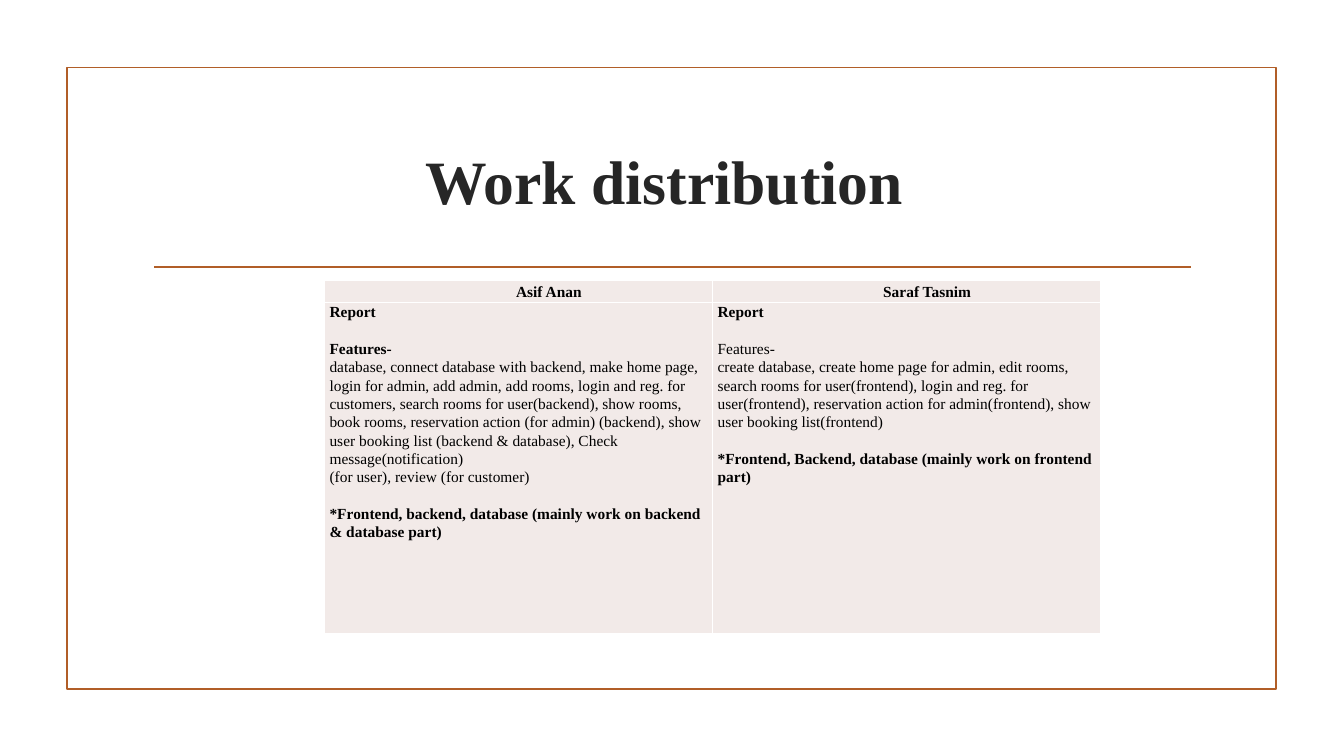
from lxml import etree
from pptx import Presentation
from pptx.dml.color import RGBColor
from pptx.enum import shapes, text
from pptx.oxml.ns import qn
from pptx.util import Pt

FONT = "Times New Roman"
RUST, INK, BLACK, BLUSH, WHITE = "B15E28", "262626", "000000", "F2EAE8", "FFFFFF"
BODY_SIZE, LINE_SPACING, SECTION_GAP = 11, 1.07, 13.2

# Each worker: name, left inset of the name, then (text, bold, starts a section)
WORKERS = [
    ("Asif Anan", 47, [
        ("Report", True, False),
        ("Features-", True, True),
        ("database, connect database with backend, make home page, login for admin, "
         "add admin, add rooms, login and reg. for customers, search rooms for "
         "user(backend), show rooms, book rooms, reservation action (for admin) "
         "(backend), show user booking list (backend & database), Check "
         "message(notification)", False, False),
        ("(for user), review (for customer)", False, False),
        ("*Frontend, backend, database (mainly work on backend & database part)",
         True, True),
    ]),
    ("Saraf Tasnim", 33, [
        ("Report", True, False),
        ("Features-", False, True),
        ("create database, create home page for admin, edit rooms, search rooms for "
         "user(frontend), login and reg. for user(frontend), reservation action for "
         "admin(frontend), show user booking list(frontend)", False, False),
        ("*Frontend, Backend, database (mainly work on frontend part)", True, True),
    ]),
]


def color(value):
    return RGBColor.from_string(value)


def add_span(para, words, size, bold, ink):
    span = para.add_run()
    span.text = words
    span.font.name = FONT
    span.font.size = Pt(size)
    span.font.bold = bold
    span.font.color.rgb = color(ink)


def add_frame(page, left, top, width, height):
    """Draw the border and the rule below the title."""
    border = page.shapes.add_shape(shapes.MSO_SHAPE.RECTANGLE,
                                   Pt(left), Pt(top), Pt(width), Pt(height))
    border.shadow.inherit = False
    border.fill.background()
    rule_y = Pt(top + 142.6)
    rule = page.shapes.add_connector(shapes.MSO_CONNECTOR.STRAIGHT,
                                     Pt(left + 62.5), rule_y,
                                     Pt(left + width - 61.2), rule_y)
    etree.SubElement(rule._element.spPr, qn("a:effectLst"))
    for outline in (border.line, rule.line):
        outline.color.rgb = color(RUST)
        outline.width = Pt(1.25)
    rule._element.spPr.append(rule._element.spPr.find(qn("a:effectLst")))


def add_title(page, left, top, width, height):
    box = page.shapes.add_textbox(Pt(left), Pt(top), Pt(width), Pt(height))
    frame = box.text_frame
    frame.word_wrap = True
    frame.vertical_anchor = text.MSO_ANCHOR.MIDDLE
    frame.margin_right = Pt(18.2)
    para = frame.paragraphs[0]
    para.alignment = text.PP_ALIGN.CENTER
    add_span(para, "Work distribution", 44, True, INK)


def style_cell(cell, left_inset=3.6, top_inset=0):
    """Set fill, insets and thin white borders."""
    cell.margin_left, cell.margin_right = Pt(left_inset), Pt(3.6)
    cell.margin_top, cell.margin_bottom = Pt(top_inset), 0
    properties = cell._tc.get_or_add_tcPr()
    for side in ("a:lnL", "a:lnR", "a:lnT", "a:lnB"):
        edge = etree.SubElement(properties, qn(side), w=str(Pt(1)))
        fill = etree.SubElement(edge, qn("a:solidFill"))
        etree.SubElement(fill, qn("a:srgbClr"), val=WHITE)
    cell.fill.solid()
    cell.fill.fore_color.rgb = color(BLUSH)


def add_work_table(page, left, top, width, height):
    table = page.shapes.add_table(2, len(WORKERS), Pt(left), Pt(top),
                                  Pt(width), Pt(height)).table
    table.first_row = table.horz_banding = False
    header_height = 15.8
    table.rows[0].height = Pt(header_height)
    table.rows[1].height = Pt(height - header_height)
    for column, (name, inset, tasks) in enumerate(WORKERS):
        table.columns[column].width = Pt(width / len(WORKERS))
        header, body = table.cell(0, column), table.cell(1, column)
        style_cell(header, inset, 1.8)
        style_cell(body)
        para = header.text_frame.paragraphs[0]
        para.alignment = text.PP_ALIGN.CENTER
        para.line_spacing = LINE_SPACING
        add_span(para, name, BODY_SIZE, True, BLACK)
        for index, (words, bold, starts_section) in enumerate(tasks):
            frame = body.text_frame
            para = frame.add_paragraph() if index else frame.paragraphs[0]
            para.line_spacing = LINE_SPACING
            if starts_section:
                para.space_before = Pt(SECTION_GAP)
            add_span(para, words, BODY_SIZE, bold, BLACK)


def main():
    deck = Presentation()
    deck.slide_width, deck.slide_height = Pt(960), Pt(540)
    page = deck.slides.add_slide(deck.slide_layouts[6])
    add_frame(page, 47.7, 48.2, 864, 444.2)
    add_title(page, 102.2, 77, 756, 103)
    add_work_table(page, 231.8, 200.2, 554.4, 252)
    deck.save("out.pptx")


if __name__ == "__main__":
    main()
